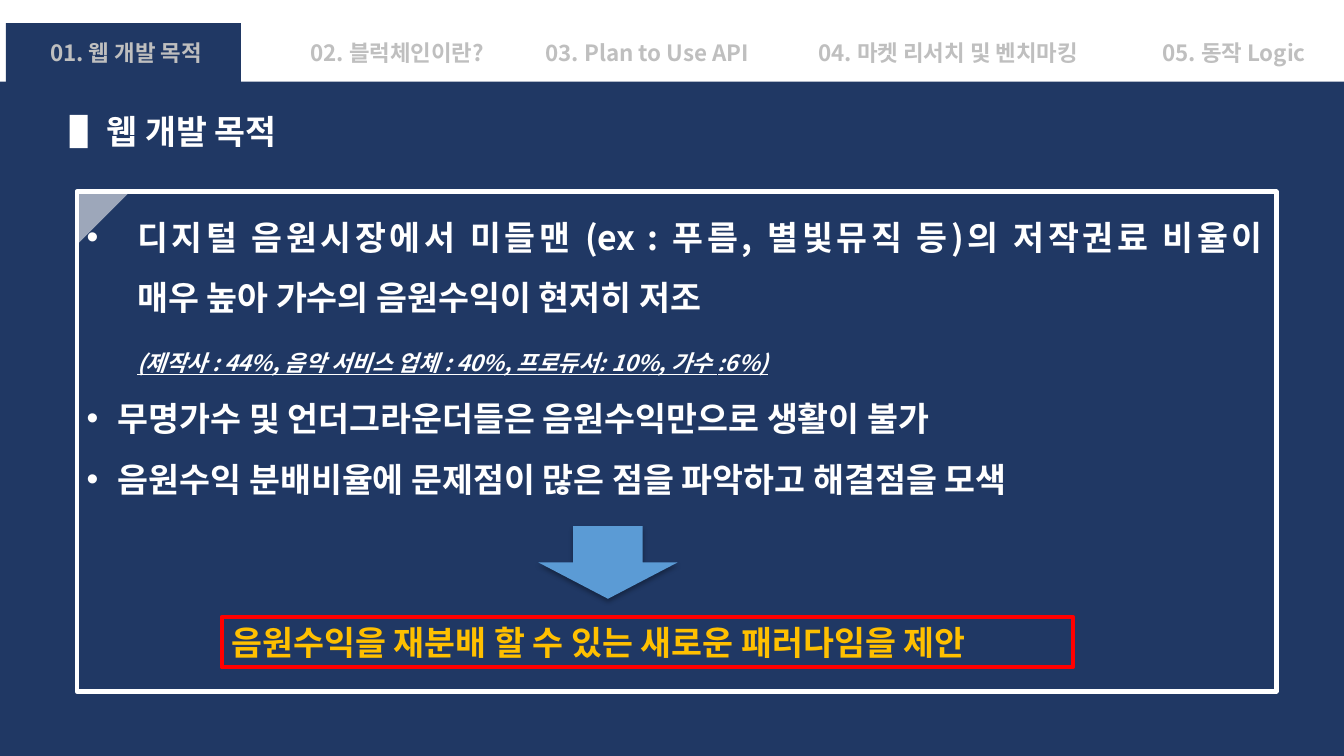
from pptx import Presentation
from pptx import util as u
from pptx.dml.color import RGBColor
from pptx.enum import shapes, text
from pptx.oxml import parse_xml
from pptx.oxml.ns import nsdecls
from lxml import etree

THEME = {
    "font": "Noto Sans CJK KR", "large": 24, "small": 16,
    "navy": "203864", "white": "FFFFFF", "grey": "BFBFBF",
    "blue": "5B9BD5", "red": "FF0000", "gold": "FFC000",
}
A = "{http://schemas.openxmlformats.org/drawingml/2006/main}"
I = u.Inches


def add_block(kind, box, color):
    sp = slide.shapes.add_shape(kind, *map(I, box))
    sp.shadow.inherit = False
    sp.fill.solid()
    sp.fill.fore_color.rgb = RGBColor.from_string(THEME[color])
    sp.line.fill.background()
    return sp


def style(p, size, color, align):
    p.alignment = align
    p.font.size = u.Pt(THEME[size])
    p.font.bold = True
    p.font.color.rgb = RGBColor.from_string(THEME[color])
    p.font.name = THEME["font"]
    # Korean glyphs take the East Asian typeface
    latin = p.font._element.find(A + "latin")
    latin.addnext(etree.Element(A + "ea", typeface=THEME["font"]))


prs = Presentation()
prs.slide_width, prs.slide_height = I(13.33), I(7.5)
slide = prs.slides.add_slide(prs.slide_layouts[1])
title, body = slide.placeholders
tree = slide.shapes._spTree
LEFT, CENTER, JUSTIFY = (text.PP_ALIGN.LEFT, text.PP_ALIGN.CENTER,
                         text.PP_ALIGN.JUSTIFY)
RECT = shapes.MSO_SHAPE.RECTANGLE

# Navy panel, active tab and title marker
for box, color in [((0, 0.81, 13.33, 6.69), "navy"),
                   ((0.06, 0.23, 2.33, 0.9), "navy"),
                   ((0.69, 1.14, 0.18, 0.33), "white")]:
    add_block(RECT, box, color)

# Navigation tabs
tabs = [("01. 웹 개발 목적", 0.24, 2.02), ("02. 블럭체인이란?", 2.93, 2.02),
        ("03. Plan to Use API", 5.28, 2.28),
        ("04. 마켓 리서치 및 벤치마킹", 7.87, 3.07),
        ("05. 동작 Logic", 11.23, 2.02)]
for label, left, width in tabs:
    tf = slide.shapes.add_textbox(I(left), I(0.34), I(width), I(0.37)).text_frame
    tf.word_wrap = True
    tf.text = label
    style(tf.paragraphs[0], "small", "grey", CENTER)

# Title and framed body, brought in front of the panel
for sp, box in [(title, (0.96, 1.05, 2.12, 0.5)), (body, (0.76, 1.9, 11.9, 4.96))]:
    sp.left, sp.top, sp.width, sp.height = map(I, box)
    sp.text_frame.vertical_anchor = text.MSO_ANCHOR.TOP
    sp.text_frame.auto_size = text.MSO_AUTO_SIZE.NONE
    tree.append(sp._element)
title.text_frame.text = "웹 개발 목적"
style(title.text_frame.paragraphs[0], "large", "white", LEFT)
body.line.color.rgb = RGBColor.from_string(THEME["white"])
body.line.width = u.Pt(3)

# Body list: text and hanging indent, with no bullet where the indent is 0
items = [
    ("디지털 음원시장에서 미들맨 (ex : 푸름, 별빛뮤직 등)의 저작권료 비율이\v"
     "매우 높아 가수의 음원수익이 현저히 저조", 0.5),
    ("\t", 0),
    ("무명가수 및 언더그라운더들은 음원수익만으로 생활이 불가", 0.31),
    ("음원수익 분배비율에 문제점이 많은 점을 파악하고 해결점을 모색", 0.31),
]
tf = body.text_frame
for n, (words, indent) in enumerate(items):
    p = tf.paragraphs[0] if n == 0 else tf.add_paragraph()
    p.text = words
    style(p, "large", "white", JUSTIFY)
    p.line_spacing = 1.5
    p.space_before = u.Pt(0)
    pPr = p._p.get_or_add_pPr()
    pPr.set("marL", str(I(indent)))
    pPr.set("indent", str(-I(indent)))
    bullet = (etree.Element(A + "buChar", char="•") if indent
              else etree.Element(A + "buNone"))
    pPr.find(A + "defRPr").addprevious(bullet)

# Revenue shares in the unbulleted line
r = tf.paragraphs[1].add_run()
r.text = "(제작사 : 44%, 음악 서비스 업체 : 40%, 프로듀서: 10%, 가수 :6%)"
r.font.size = u.Pt(THEME["small"])
r.font.italic = r.font.underline = True

# Translucent corner fold
fold = add_block(shapes.MSO_SHAPE.RIGHT_TRIANGLE, (0.78, 1.89, 0.52, 0.52), "white")
fold.rotation = 90
etree.SubElement(fold._element.spPr.find(f"{A}solidFill/{A}srgbClr"),
                 A + "alpha", val="56000")

# Down arrow with a soft shadow
arrow = add_block(shapes.MSO_SHAPE.DOWN_ARROW, (5.34, 5.22, 1.38, 0.72), "blue")
arrow._element.spPr.find(A + "effectLst").append(parse_xml(
    f'<a:outerShdw {nsdecls("a")} blurRad="{u.Pt(3.5)}" dist="{u.Pt(2.2)}" '
    'dir="5400000" rotWithShape="0"><a:srgbClr val="000000">'
    '<a:alpha val="32000"/></a:srgbClr></a:outerShdw>'))

# Proposal box
proposal = slide.shapes.add_textbox(I(2.2), I(6.12), I(8.44), I(0.5))
proposal.line.color.rgb = RGBColor.from_string(THEME["red"])
proposal.line.width = u.Pt(3)
tf = proposal.text_frame
tf.word_wrap = True
tf.text = "음원수익을 재분배 할 수 있는 새로운 패러다임을 제안"
style(tf.paragraphs[0], "large", "gold", LEFT)

prs.save("out.pptx")
